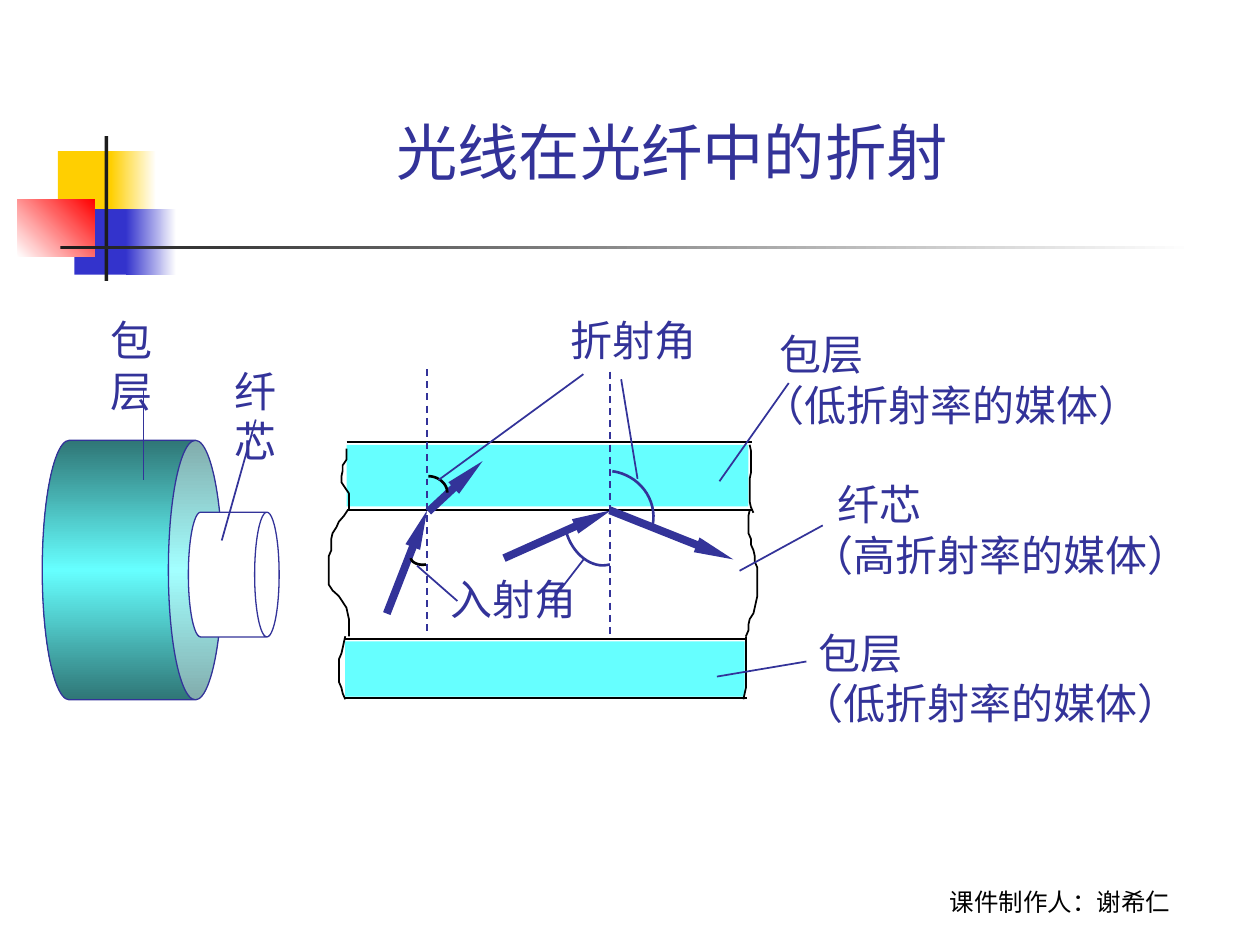
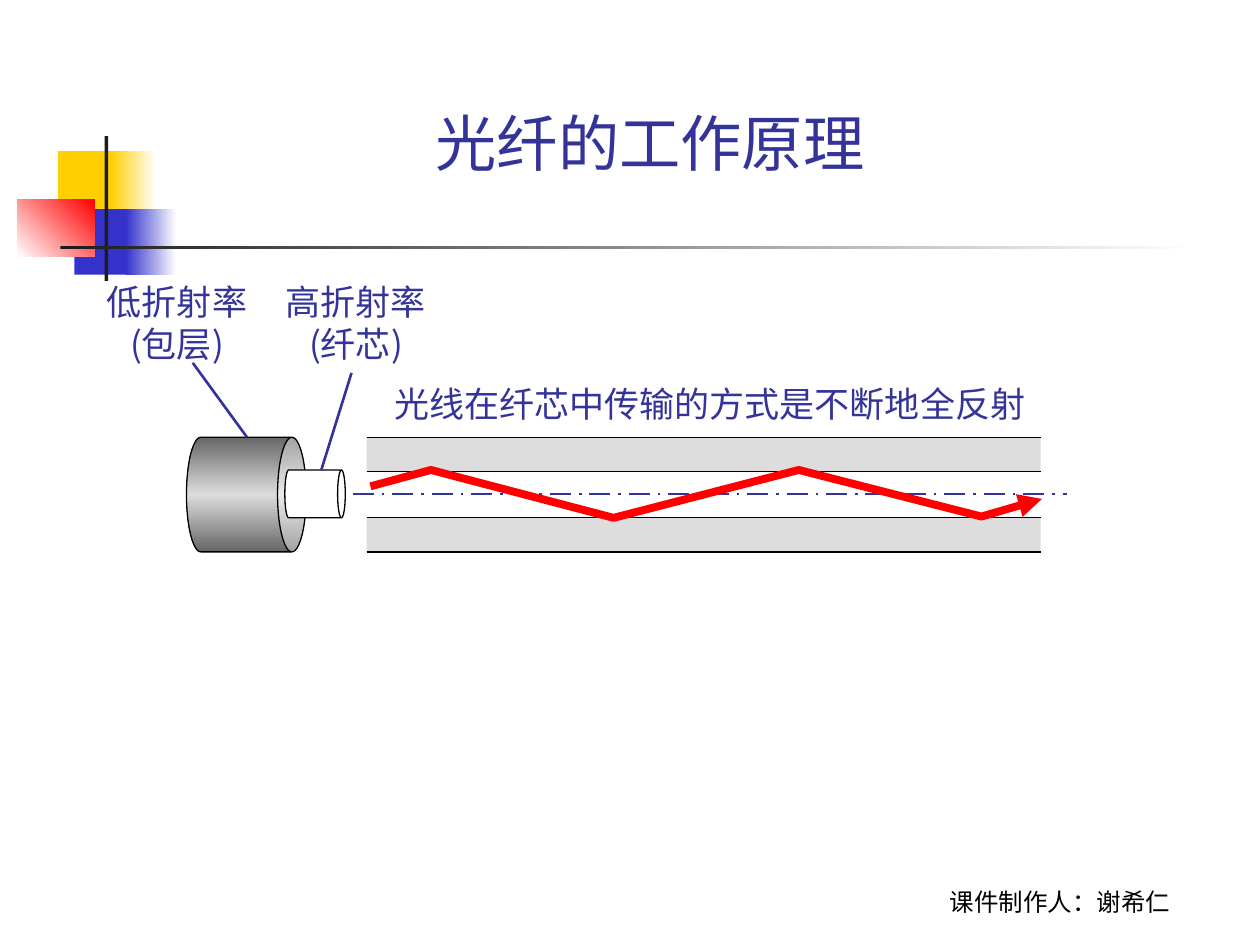
from typing import NamedTuple, Optional

from pptx import Presentation
from pptx.dml.color import RGBColor
from pptx.enum.dml import MSO_LINE
from pptx.enum.shapes import MSO_CONNECTOR, MSO_SHAPE
from pptx.enum.text import MSO_ANCHOR, PP_ALIGN
from pptx.oxml import parse_xml
from pptx.oxml.ns import nsdecls, qn
from pptx.oxml.xmlchemy import OxmlElement
from pptx.util import Inches, Pt

NAVY, BLACK, WHITE, RED = "333399", "000000", "FFFFFF", "FF0000"
GOLD, BLUE, DARK = "FFCF01", "3333CC", "1C1C1C"
CYAN, TEAL, GREY, SLATE = "66FFFF", "2F7676", "DDDDDD", "666666"
ARIAL, NOTO, ROBOTO = "Arial", "Noto Sans CJK SC", "Roboto"
LEFT, MID = PP_ALIGN.LEFT, PP_ALIGN.CENTER


class Block(NamedTuple):
    """A rectangle with a flat or graded fill."""
    x: float
    y: float
    w: float
    h: float
    fill: tuple
    angle: int = 0


class Label(NamedTuple):
    """A text box with one line or more."""
    x: float
    y: float
    w: float
    h: float
    lines: tuple
    size: int = 24
    font: str = ARIAL
    color: str = NAVY
    align: PP_ALIGN = LEFT
    anchor: MSO_ANCHOR = MSO_ANCHOR.TOP
    wrap: bool = False
    indent: float = 0


class Line(NamedTuple):
    """A straight line from one point to another."""
    x1: float
    y1: float
    x2: float
    y2: float
    color: str = NAVY
    width: float = 1
    dash: Optional[MSO_LINE] = None
    head: str = ""


class Can(NamedTuple):
    """A cylinder lying on its side."""
    x: float
    y: float
    w: float
    h: float
    lid: float
    fill: tuple
    line: str


class Arc(NamedTuple):
    """A cubic curve marking an angle."""
    points: tuple
    color: str


class Edge(NamedTuple):
    """A torn edge with evenly stepped heights."""
    top: float
    bottom: float
    xs: tuple


MOTIF = (
    Block(0.46, 1.2, 0.48, 0.52, (GOLD,)),
    Block(0.88, 1.2, 0.36, 0.52, (GOLD, WHITE)),
    Block(0.59, 1.66, 0.46, 0.52, (BLUE,)),
    Block(1, 1.66, 0.4, 0.52, (BLUE, WHITE)),
    Block(0.14, 1.58, 0.61, 0.46, (WHITE, RED), 315),
    Block(0.83, 1.08, 0.03, 1.15, (DARK,)),
    Block(0.48, 1.95, 9, 0.03, (DARK, WHITE)),
)
FOOTER = Label(6.83, 6.82, 3.17, 0.5, ("课件制作人：谢希仁",), 14, ROBOTO, BLACK,
               MID, MSO_ANCHOR.BOTTOM, True)

LAYERS = (
    Block(2.75, 3.53, 3.19, 0.49, (CYAN,)),
    Block(2.74, 5.09, 3.17, 0.44, (CYAN,)),
)
BORDERS = (
    Line(2.75, 3.51, 5.97, 3.51, BLACK), Line(2.75, 4.05, 5.97, 4.05, BLACK),
    Line(2.73, 5.07, 5.93, 5.07, BLACK), Line(2.73, 5.54, 5.93, 5.54, BLACK),
)
NORMALS = (
    Line(3.39, 2.93, 3.39, 5.05, dash=MSO_LINE.DASH),
    Line(4.84, 2.95, 4.84, 5.07, dash=MSO_LINE.DASH),
)
RAYS = tuple(Line(*ends, width=4.5, head="sm lg") for ends in (
    (3.4, 4.06, 3.83, 3.66), (3.07, 4.87, 3.39, 4.05),
    (4, 4.43, 4.85, 4.05), (4.84, 4.05, 5.82, 4.44)))
ARCS = (
    Arc(((3.38, 4.48), (3.33, 4.49), (3.27, 4.47), (3.26, 4.43)), BLACK),
    Arc(((3.4, 3.78), (3.48, 3.78), (3.55, 3.84), (3.55, 3.91)), BLACK),
    Arc(((4.84, 4.48), (4.7, 4.52), (4.54, 4.4), (4.49, 4.21)), NAVY),
    Arc(((4.86, 3.74), (5.07, 3.77), (5.22, 3.96), (5.18, 4.17)), NAVY),
)
EDGES = (
    Edge(3.56, 4.05, (2.75, 2.75, 2.75, 2.72, 2.72, 2.71, 2.71, 2.74, 2.77,
                      2.77, 2.77, 2.77)),
    Edge(4.05, 5.05, (2.76, 2.73, 2.69, 2.67, 2.64, 2.63, 2.63, 2.63, 2.61,
                      2.61, 2.61, 2.61, 2.61, 2.61, 2.64, 2.69, 2.72, 2.75,
                      2.76, 2.77, 2.77, 2.77, 2.77)),
    Edge(5.05, 5.55, (2.74, 2.73, 2.72, 2.71, 2.69, 2.69, 2.69, 2.69, 2.69,
                      2.71, 2.72, 2.74)),
    Edge(3.53, 4.07, (5.95, 5.96, 5.96, 5.96, 5.96, 5.96, 5.95, 5.95, 5.95,
                      5.95, 5.95, 5.96, 5.98)),
    Edge(4.05, 5.05, (5.95, 5.94, 5.94, 5.94, 5.94, 5.96, 5.96, 5.98, 5.99,
                      5.99, 6.01, 6.01, 6.01, 6.01, 6.01, 6.01, 6, 5.99,
                      5.98, 5.95, 5.94, 5.94, 5.92)),
    Edge(5.05, 5.55, (5.92, 5.92, 5.92, 5.92, 5.92, 5.92, 5.92, 5.92, 5.92,
                      5.92, 5.91, 5.9)),
)
FIBRE = (
    Can(0.02, 3.81, 2.06, 1.43, 0.3, (TEAL, CYAN, TEAL), NAVY),
    Can(1.36, 4.2, 0.99, 0.72, 0.27, (WHITE,), NAVY),
)
LOW, HIGH = ("包层", "（低折射率的媒体）"), ("纤芯", "（高折射率的媒体）")
NAMES = (
    Label(4.43, 2.45, 1.2, 0.5, ("折射角",)),
    Label(3.48, 4.5, 1.2, 0.5, ("入射角",)),
    Label(5.95, 2.56, 3.2, 0.9, LOW, indent=0.14),
    Label(6.26, 4.93, 3.2, 0.9, LOW, indent=0.14),
    Label(6.34, 3.75, 3.48, 1.3, HIGH, wrap=True, indent=0.21),
    Label(0.78, 2.45, 0.86, 0.5, ("包层",)),
    Label(1.76, 2.85, 0.76, 0.9, ("纤芯",), wrap=True),
)
LEADERS = tuple(Line(*ends) for ends in (
    (4.93, 3.01, 5.06, 3.8), (3.48, 3.81, 4.63, 2.97),
    (3.31, 4.49, 3.63, 4.77), (4.37, 4.78, 4.64, 4.43),
    (5.87, 4.53, 6.53, 4.17), (6.26, 3.04, 5.71, 3.82),
    (6.4, 5.25, 5.69, 5.37), (1.14, 3.09, 1.14, 3.81),
    (2.03, 3.33, 1.76, 4.29)))

WALLS = (3.47, 3.74, 4.11, 4.38)
TUBE = tuple(Block(2.91, top, 5.35, low - top, (fill,)) for top, low, fill
             in zip(WALLS, WALLS[1:], (GREY, WHITE, GREY)))
CABLE = (
    Can(1.5, 3.45, 0.91, 0.95, 0.25, (SLATE, GREY, SLATE), BLACK),
    Can(2.31, 3.68, 0.38, 0.48, 0.16, (WHITE,), BLACK),
)
GUIDES = tuple(Line(2.91, y, 8.26, y, BLACK, 0.75) for y in WALLS) + (
    Line(2.8, 3.92, 8.47, 3.92, width=1.5, dash=MSO_LINE.LONG_DASH_DOT),
    Line(2.79, 2.96, 2.55, 3.73, width=1.5),
    Line(1.53, 2.88, 1.96, 3.47, width=1.5),
)
NOTES = (
    Label(2.17, 2.18, 1.31, 0.77, ("高折射率", "(纤芯)"), 20, NOTO, align=MID),
    Label(0.75, 2.18, 1.31, 0.77, ("低折射率", "(包层)"), 20, NOTO, align=MID),
    Label(3.03, 2.99, 5.21, 0.44, ("光线在纤芯中传输的方式是不断地全反射",), 20, NOTO),
)
BOUNCE = ((2.94, 3.86), (3.42, 3.73), (4.87, 4.11), (6.34, 3.73),
          (7.79, 4.1), (8.27, 3.96))


def tint(code: str) -> RGBColor:
    """Turn a hex string into a colour."""
    return RGBColor.from_string(code)


def paint(shape, fill: tuple, angle: int = 0) -> None:
    """Fill a shape with one colour or an even gradient."""
    shape.shadow.inherit = False
    if len(fill) == 1:
        shape.fill.solid()
        shape.fill.fore_color.rgb = tint(fill[0])
        return
    shape.fill.background()
    stops = "".join(
        f'<a:gs pos="{i * 100000 // (len(fill) - 1)}"><a:srgbClr val="{code}"/></a:gs>'
        for i, code in enumerate(fill))
    grad = parse_xml(
        f'<a:gradFill {nsdecls("a")} rotWithShape="1"><a:gsLst>{stops}</a:gsLst>'
        f'<a:lin ang="{angle * 60000}" scaled="0"/></a:gradFill>')
    props = shape.element.spPr
    props.replace(props.find(qn("a:noFill")), grad)


def stroke(shape, color: str, width: float, head: str = "") -> None:
    """Set the line of a shape, with an arrowhead if its size is given."""
    shape.line.color.rgb = tint(color)
    shape.line.width = Pt(width)
    if head:
        wide, long = head.split()
        tip = OxmlElement("a:tailEnd")
        for key, value in (("type", "triangle"), ("w", wide), ("len", long)):
            tip.set(key, value)
        shape.line._get_or_add_ln().append(tip)


def add_block(slide, item: Block) -> None:
    """Draw a block without an outline."""
    shape = slide.shapes.add_shape(MSO_SHAPE.RECTANGLE, *map(Inches, item[:4]))
    paint(shape, item.fill, item.angle)
    shape.line.fill.background()


def add_can(slide, item: Can) -> None:
    """Draw a cylinder turned by a right angle."""
    shape = slide.shapes.add_shape(MSO_SHAPE.CAN, *map(Inches, item[:4]))
    shape.adjustments[0] = item.lid
    shape.rotation = 90
    paint(shape, item.fill)
    stroke(shape, item.line, 0.75)


def add_line(slide, item: Line) -> None:
    """Draw a straight connector."""
    line = slide.shapes.add_connector(MSO_CONNECTOR.STRAIGHT, *map(Inches, item[:4]))
    stroke(line, item.color, item.width)
    if item.dash:
        line.line.dash_style = item.dash
    stroke(line, item.color, item.width, item.head)
    line.element.spPr.append(OxmlElement("a:effectLst"))


def add_trace(slide, points, color: str, width: float, head: str = "") -> None:
    """Draw an open outline through the points."""
    dots = [(Inches(x), Inches(y)) for x, y in points]
    maker = slide.shapes.build_freeform(*dots[0])
    maker.add_line_segments(dots[1:], close=False)
    shape = maker.convert_to_shape()
    shape.shadow.inherit = False
    shape.fill.background()
    stroke(shape, color, width, head)


def add_arc(slide, item: Arc) -> None:
    """Draw a cubic curve in short steps."""
    a, b, c, d = item.points
    steps = [i / 16 for i in range(17)]
    dots = [tuple((1 - t) ** 3 * a[k] + 3 * t * (1 - t) ** 2 * b[k]
                  + 3 * t * t * (1 - t) * c[k] + t ** 3 * d[k] for k in (0, 1))
            for t in steps]
    add_trace(slide, dots, item.color, 1.5)


def add_edge(slide, item: Edge) -> None:
    """Draw a torn edge from top to bottom."""
    step = (item.bottom - item.top) / (len(item.xs) - 1)
    dots = [(x, item.top + i * step) for i, x in enumerate(item.xs)]
    add_trace(slide, dots, BLACK, 1)


def add_label(slide, item: Label) -> None:
    """Write a text box run by run."""
    frame = slide.shapes.add_textbox(*map(Inches, item[:4])).text_frame
    frame.word_wrap = item.wrap
    frame.vertical_anchor = item.anchor
    for i, text in enumerate(item.lines):
        para = frame.add_paragraph() if i else frame.paragraphs[0]
        para.alignment = item.align
        para.line_spacing = Pt(item.size * 1.2)
        if item.indent and not i:
            para._p.get_or_add_pPr().set("marL", str(Inches(item.indent)))
        run = para.add_run()
        run.text = text
        run.font.size = Pt(item.size)
        run.font.name = item.font
        run.font.color.rgb = tint(item.color)
        east = OxmlElement("a:ea")
        east.set("typeface", item.font)
        run.font._element.find(qn("a:latin")).addnext(east)


DRAW = {Block: add_block, Can: add_can, Line: add_line, Arc: add_arc,
        Edge: add_edge, Label: add_label}


def place(slide, *groups: tuple) -> None:
    """Draw groups of items from back to front."""
    for group in groups:
        for item in group:
            DRAW[type(item)](slide, item)


def start(deck, title: str, x: float, y: float, w: float, h: float):
    """Add a slide with the shared motif, footer and title."""
    slide = deck.slides.add_slide(deck.slide_layouts[6])
    head = Label(x, y, w, h, (title,), 35, align=MID,
                 anchor=MSO_ANCHOR.BOTTOM, wrap=True)
    place(slide, MOTIF, (FOOTER, head))
    return slide


def main() -> None:
    """Build both slides and save them."""
    deck = Presentation()
    deck.slide_width, deck.slide_height = Inches(10), Inches(7.5)
    bend = start(deck, "光线在光纤中的折射", 1.18, 0.23, 8.31, 1.31)
    place(bend, BORDERS, LAYERS, NORMALS, RAYS, ARCS, EDGES, FIBRE, NAMES, LEADERS)
    guide = start(deck, "光纤的工作原理", 0.9, 0, 8.52, 1.47)
    place(guide, TUBE, CABLE, GUIDES, NOTES)
    add_trace(guide, BOUNCE, RED, 4.5, "med med")
    deck.save("out.pptx")


if __name__ == "__main__":
    main()
